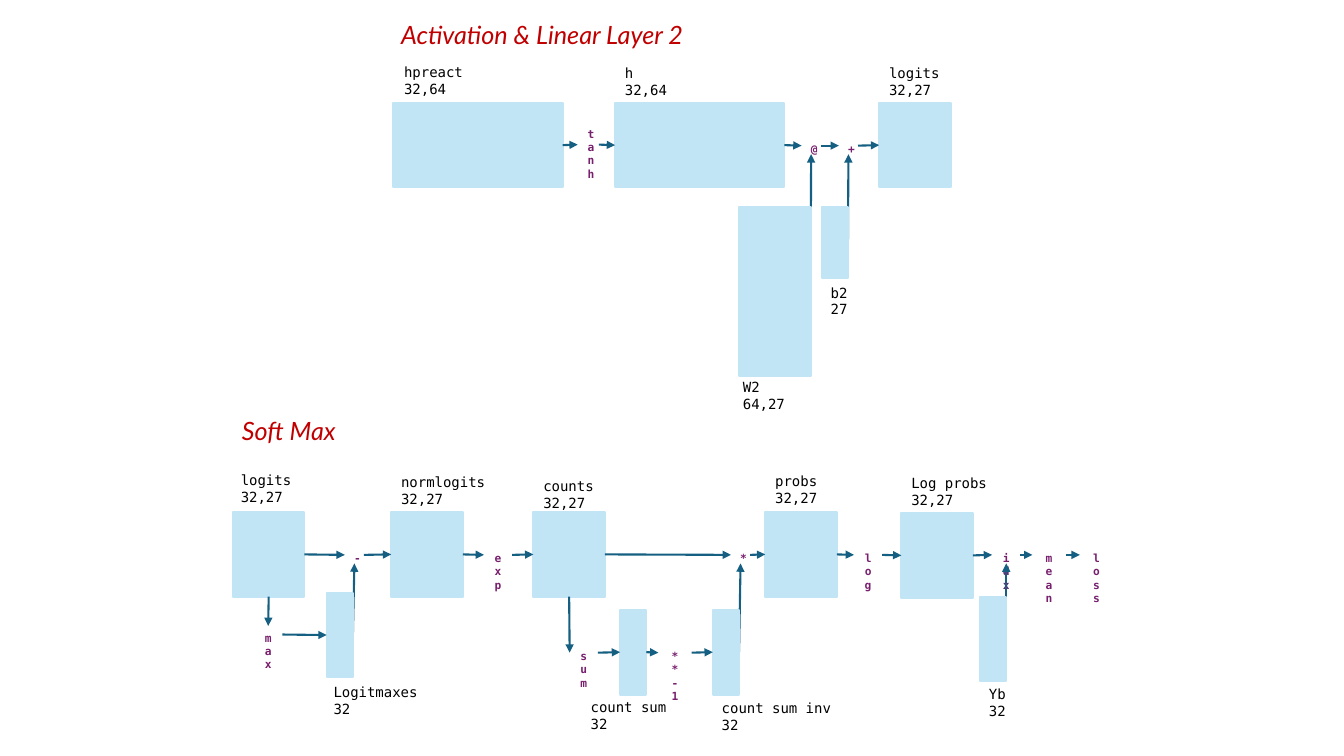
from lxml.etree import SubElement
from pptx import Presentation
from pptx.dml.color import RGBColor
from pptx.enum.shapes import MSO_CONNECTOR, MSO_SHAPE
from pptx.enum.text import MSO_ANCHOR, MSO_AUTO_SIZE, PP_ALIGN
from pptx.oxml.ns import qn
from pptx.util import Inches, Pt

WHITE = RGBColor(0xFF, 0xFF, 0xFF)
BLACK = RGBColor(0x00, 0x00, 0x00)
RED = RGBColor(0xC0, 0x00, 0x00)
PALE_BLUE = RGBColor(0xC1, 0xE5, 0xF5)
TEAL = RGBColor(0x15, 0x60, 0x82)
PURPLE = RGBColor(0x78, 0x20, 0x6E)
MONO = "DejaVu Sans Mono"
TOP, LEFT, BOTTOM, RIGHT = range(4)

presentation = Presentation()
presentation.slide_width = Inches(13.33)
presentation.slide_height = Inches(7.5)
slide = presentation.slides.add_slide(presentation.slide_layouts[6])


def write(shape, lines, font_name, size, color, anchor, align=PP_ALIGN.LEFT, bold=False, italic=False):
    frame = shape.text_frame
    frame.word_wrap = True
    frame.auto_size = MSO_AUTO_SIZE.NONE
    frame.vertical_anchor = anchor
    for index, line in enumerate(lines):
        paragraph = frame.add_paragraph() if index else frame.paragraphs[0]
        paragraph.alignment = align
        run = paragraph.add_run()
        run.text = line
        run.font.name = font_name
        run.font.size = Pt(size)
        run.font.bold = bold
        run.font.italic = italic
        run.font.color.rgb = color


def add_rectangle(left, top, width, height, color):
    shape = slide.shapes.add_shape(
        MSO_SHAPE.RECTANGLE, Inches(left), Inches(top), Inches(width), Inches(height))
    shape.shadow.inherit = False
    shape.fill.solid()
    shape.fill.fore_color.rgb = color
    shape.line.color.rgb = color
    shape.line.width = Pt(1.5)
    return shape


nodes = {}

# Operators: narrow boxes that stack their letters; text, left, top, width, height
operators = [
    ("tanh", 5.73, 1.21, 0.21, 0.45),
    ("@", 7.95, 1.36, 0.19, 0.17),
    ("+", 8.32, 1.36, 0.19, 0.17),
    ("max", 2.52, 6.21, 0.28, 0.17),
    ("-", 3.42, 5.42, 0.19, 0.17),
    ("exp", 4.8, 5.42, 0.28, 0.17),
    ("sum", 5.65, 6.39, 0.28, 0.17),
    ("**-1", 6.53, 6.39, 0.33, 0.17),
    ("*", 7.25, 5.42, 0.19, 0.17),
    ("log", 8.47, 5.42, 0.28, 0.17),
    ("idx", 9.84, 5.42, 0.28, 0.17),
    ("mean", 10.24, 5.42, 0.33, 0.17),
    ("loss", 10.71, 5.42, 0.33, 0.17),
]
for text, left, top, width, height in operators:
    box = slide.shapes.add_textbox(Inches(left), Inches(top), Inches(width), Inches(height))
    write(box, [text], MONO, 8, PURPLE, MSO_ANCHOR.TOP, PP_ALIGN.CENTER, bold=True)
    nodes[text] = box

# Tensors: key, name, dimensions, left and top of the box, then the label's frame
tensors = [
    ("hpreact", "hpreact", "32,64", 3.9, 1.02, (3.91, 0.59, 0.84, 0.41)),
    ("h", "h", "32,64", 6.1, 1.02, (6.1, 0.6, 0.84, 0.41)),
    ("layer logits", "logits", "32,27", 8.72, 1.02, (8.72, 0.6, 0.84, 0.41)),
    ("W2", "W2", "64,27", 7.33, 2.05, (7.27, 3.71, 0.84, 0.43)),
    ("b2", "b2", "27", 8.15, 2.05, (8.14, 2.77, 0.84, 0.43)),
    ("logits", "logits", "32,27", 2.31, 5.08, (2.29, 4.61, 1.06, 0.47)),
    ("normlogits", "normlogits", "32,27", 3.88, 5.08, (3.88, 4.63, 1.04, 0.47)),
    ("counts", "counts", "32,27", 5.29, 5.08, (5.29, 4.71, 1.01, 0.39)),
    ("probs", "probs", "32,27", 7.59, 5.08, (7.59, 4.62, 1, 0.47)),
    ("Log probs", "Log probs", "32,27", 8.94, 5.09, (8.94, 4.64, 1.07, 0.47)),
    ("Logitmaxes", "Logitmaxes", "32", 3.24, 5.88, (3.21, 6.72, 1.36, 0.46)),
    ("count sum", "count sum", "32", 6.15, 6.05, (5.76, 6.9, 1.14, 0.4)),
    ("count sum inv", "count sum inv", "32", 7.07, 6.05, (7.06, 6.9, 1.42, 0.42)),
    ("Yb", "Yb", "32", 9.72, 5.92, (9.71, 6.76, 0.84, 0.42)),
]
lengths = {"27": 0.71, "32": 0.84, "64": 1.68}
vector_width = 0.26
for key, name, dimensions, left, top, label_frame in tensors:
    rows, _, columns = dimensions.partition(",")
    width = lengths.get(columns, vector_width)
    nodes[key] = add_rectangle(left, top, width, lengths[rows], PALE_BLUE)
    label = slide.shapes.add_textbox(*[Inches(length) for length in label_frame])
    write(label, [name, dimensions], MONO, 10, BLACK, MSO_ANCHOR.MIDDLE)

# Arrows: each chain runs left to right
chains = [
    ["hpreact", "tanh", "h", "@", "+", "layer logits"],
    ["logits", "-", "normlogits", "exp", "counts", "*", "probs", "log",
     "Log probs", "idx", "mean", "loss"],
    ["max", "Logitmaxes"],
    ["sum", "count sum", "**-1", "count sum inv"],
]
arrows = [(source, RIGHT, target, LEFT)
          for chain in chains for source, target in zip(chain, chain[1:])]
arrows += [("logits", BOTTOM, "max", TOP), ("counts", BOTTOM, "sum", LEFT)]
arrows += [(source, RIGHT, target, BOTTOM) for source, target in
           [("W2", "@"), ("b2", "+"), ("Logitmaxes", "-"), ("count sum inv", "*"), ("Yb", "idx")]]
for source, source_side, target, target_side in arrows:
    arrow = slide.shapes.add_connector(MSO_CONNECTOR.STRAIGHT, 0, 0, 0, 0)
    arrow.begin_connect(nodes[source], source_side)
    arrow.end_connect(nodes[target], target_side)
    arrow.line.color.rgb = TEAL
    arrow.line.width = Pt(1.5)
    SubElement(arrow.line._get_or_add_ln(), qn("a:tailEnd"), type="triangle")
    SubElement(arrow._element.spPr, qn("a:effectLst"))
    # Rising arrows pass behind the tensor they leave
    if target_side == BOTTOM:
        nodes[source]._element.addprevious(arrow._element)

# Section titles
for title, left, top in [("Activation & Linear Layer 2", 3.88, 0.16), ("Soft Max", 2.3, 4.09)]:
    shape = add_rectangle(left, top, 3.62, 0.36, WHITE)
    shape.line.fill.background()
    write(shape, [title], "Lato", 18, RED, MSO_ANCHOR.MIDDLE, italic=True)

presentation.save("out.pptx")
